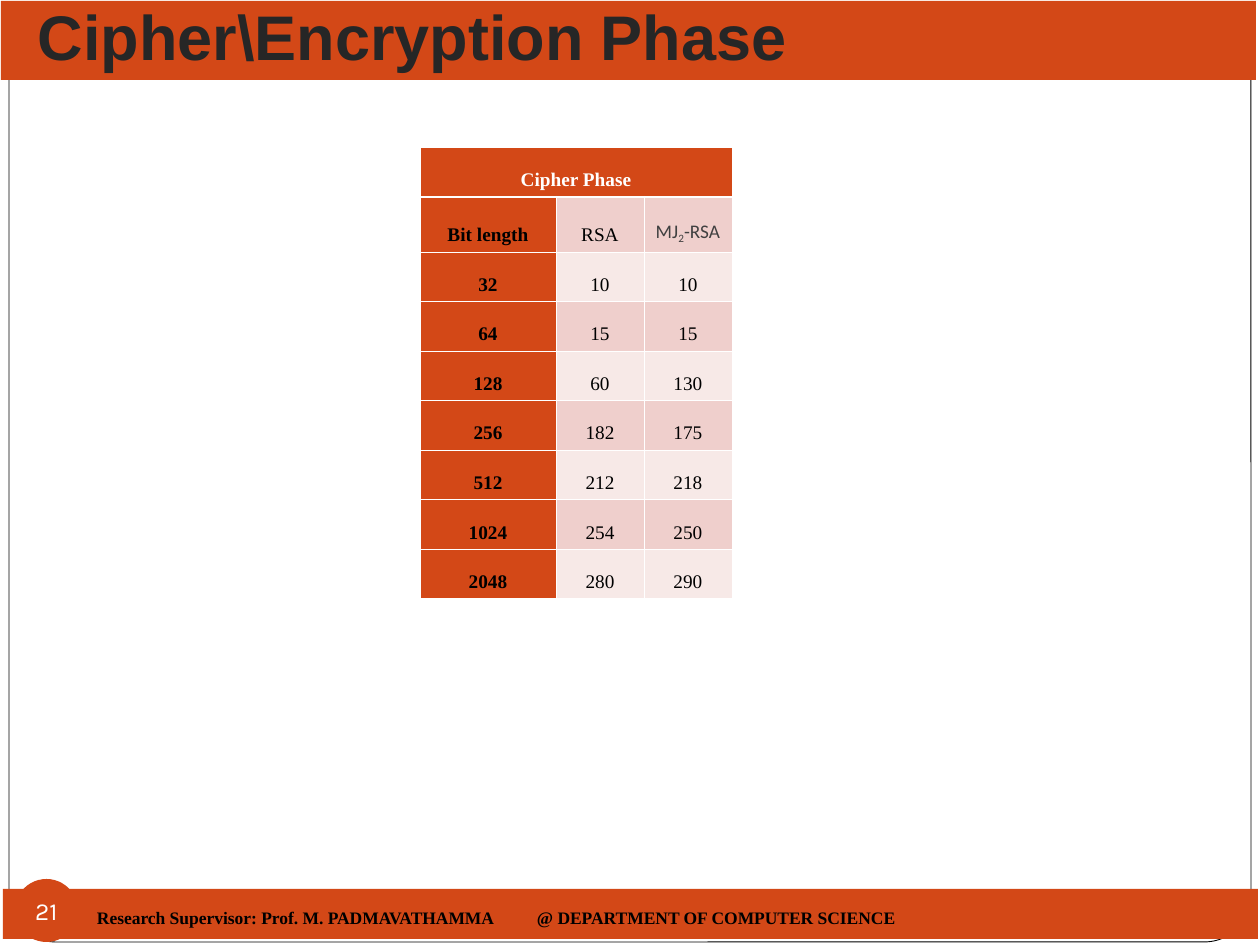
import dataclasses
import typing

import lxml.etree
import pptx
import pptx.dml.color
import pptx.enum.shapes
import pptx.enum.text
import pptx.oxml.ns
import pptx.util

EMU_PER_PX = 914400 / 126
SHAPES = pptx.enum.shapes.MSO_SHAPE
ALIGN = pptx.enum.text.PP_ALIGN
ANCHOR = pptx.enum.text.MSO_ANCHOR


@dataclasses.dataclass(frozen=True)
class Theme:
    accent: str = "D34817"
    white: str = "FFFFFF"
    black: str = "000000"
    heading: str = "262626"
    muted: str = "404040"
    bands: tuple[str, str] = ("EFCFCC", "F7E9E7")
    serif: str = "Times New Roman"
    title_pt: int = 36
    number_pt: int = 14
    table_pt: int = 11
    footer_pt: int = 10


THEME = Theme()


class Box(typing.NamedTuple):
    left: int
    top: int
    width: int
    height: int


@dataclasses.dataclass(frozen=True)
class Panel:
    preset: SHAPES
    box: Box
    fill: str
    line: str | None = None


@dataclasses.dataclass(frozen=True)
class Run:
    text: str
    size: int = THEME.table_pt
    font: str = THEME.serif
    color: str = THEME.black
    bold: bool = False
    baseline: int = 0


def px(length: int) -> int:
    return pptx.util.Emu(round(length * EMU_PER_PX))


def rgb(color: str) -> pptx.dml.color.RGBColor:
    return pptx.dml.color.RGBColor.from_string(color)


def place(box: Box) -> tuple[int, ...]:
    return tuple(px(length) for length in box)


def add_runs(paragraph, runs: typing.Sequence[Run]) -> None:
    for item in runs:
        run = paragraph.add_run()
        run.text = item.text
        run.font.size = pptx.util.Pt(item.size)
        run.font.name = item.font
        run.font.bold = item.bold
        run.font.color.rgb = rgb(item.color)
        if item.baseline:
            run._r.get_or_add_rPr().set("baseline", str(item.baseline * 1000))


def set_margins(target, left: int, top: int, right: int, bottom: int) -> None:
    target.margin_left, target.margin_top = px(left), px(top)
    target.margin_right, target.margin_bottom = px(right), px(bottom)


def add_panel(slide, panel: Panel):
    shape = slide.shapes.add_shape(panel.preset, *place(panel.box))
    shape.shadow.inherit = False
    shape.fill.solid()
    shape.fill.fore_color.rgb = rgb(panel.fill)
    if panel.line:
        shape.line.color.rgb = rgb(panel.line)
        shape.line.width = pptx.util.Pt(0.5)
    else:
        shape.line.fill.background()
    return shape


def set_borders(cell, top: float, bottom: float) -> None:
    properties = cell._tc.get_or_add_tcPr()
    widths = {"a:lnL": 0.45, "a:lnR": 0.45, "a:lnT": top, "a:lnB": bottom}
    for position, (tag, width) in enumerate(widths.items()):
        edge = lxml.etree.Element(pptx.oxml.ns.qn(tag), w=str(pptx.util.Pt(width)))
        fill = lxml.etree.SubElement(edge, pptx.oxml.ns.qn("a:solidFill"))
        lxml.etree.SubElement(fill, pptx.oxml.ns.qn("a:srgbClr"), val=THEME.white)
        properties.insert(position, edge)


def fill_cell(cell, runs: typing.Sequence[Run], fill: str, row: int) -> None:
    cell.fill.solid()
    cell.fill.fore_color.rgb = rgb(fill)
    # A heavier rule divides the heading from the rest
    set_borders(cell, 1.47 if row == 1 else 0.45, 1.47 if row == 0 else 0.45)
    cell.vertical_anchor = ANCHOR.BOTTOM
    set_margins(cell, 10, 6, 10, 6)
    paragraph = cell.text_frame.paragraphs[0]
    paragraph.alignment = ALIGN.CENTER
    paragraph.line_spacing = 1.5
    if row:
        paragraph.space_after = pptx.util.Pt(10)
    add_runs(paragraph, runs)


# Content
BACKDROP = [
    Panel(SHAPES.ROUNDED_RECTANGLE, Box(9, 10, 1242, 932), THEME.white, THEME.black),
    Panel(SHAPES.RECTANGLE, Box(1, 1, 1255, 79), THEME.accent),
    Panel(SHAPES.RECTANGLE, Box(3, 889, 1255, 50), THEME.accent),
]
NUMBER_BADGE = Panel(SHAPES.OVAL, Box(15, 879, 63, 63), THEME.accent)
TIMINGS = [
    (32, 10, 10), (64, 15, 15), (128, 60, 130), (256, 182, 175),
    (512, 212, 218), (1024, 254, 250), (2048, 280, 290),
]
MJ2_LABEL = [
    Run(text, font="Calibri", color=THEME.muted, baseline=baseline)
    for text, baseline in (("MJ", 0), ("2", -25), ("-RSA", 0))
]
COLUMN_LABELS = [[Run("Bit length", bold=True)], [Run("RSA")], MJ2_LABEL]


def add_timings(slide) -> None:
    rows = [COLUMN_LABELS] + [
        [[Run(str(value), bold=column == 0)] for column, value in enumerate(timing)]
        for timing in TIMINGS
    ]
    table = slide.shapes.add_table(len(rows) + 1, 3, *place(Box(420, 147, 312, 452))).table
    table.first_row = table.horz_banding = False
    for column, width in zip(table.columns, (136, 88, 88)):
        column.width = px(width)
    heights = [px(50), px(55)] + [px(347) // len(TIMINGS)] * len(TIMINGS)
    for row, height in zip(table.rows, heights):
        row.height = height

    table.cell(0, 0).merge(table.cell(0, 2))
    heading = [Run("Cipher Phase", color=THEME.white, bold=True)]
    for column in range(3):
        fill_cell(table.cell(0, column), [] if column else heading, THEME.accent, 0)
    for row, cells in enumerate(rows, start=1):
        for column, runs in enumerate(cells):
            fill = THEME.bands[(row - 1) % 2] if column else THEME.accent
            fill_cell(table.cell(row, column), runs, fill, row)


def add_title(slide) -> None:
    title = slide.shapes.title
    slide.shapes._spTree.append(title._element)  # bring in front of the bar
    title.left, title.top, title.width, title.height = place(Box(25, 8, 1071, 78))
    frame = title.text_frame
    frame.auto_size = pptx.enum.text.MSO_AUTO_SIZE.NONE
    frame.vertical_anchor = ANCHOR.BOTTOM
    set_margins(frame, 13, 6, 13, 13)
    frame.paragraphs[0].alignment = ALIGN.LEFT
    add_runs(frame.paragraphs[0], [
        Run("Cipher\\Encryption Phase", THEME.title_pt, "Arial", THEME.heading, True)])


def add_footer(slide) -> None:
    # Slide number
    badge = add_panel(slide, NUMBER_BADGE).text_frame
    badge.word_wrap = False
    badge.vertical_anchor = ANCHOR.MIDDLE
    set_margins(badge, 0, 0, 0, 0)
    badge.paragraphs[0].alignment = ALIGN.CENTER
    add_runs(badge.paragraphs[0], [Run("21", THEME.number_pt, "Karla", THEME.white)])

    # Supervisor and department, parted by a tab stop
    credit = slide.shapes.add_textbox(*place(Box(84, 886, 1042, 63))).text_frame
    credit.word_wrap = True
    credit.vertical_anchor = ANCHOR.MIDDLE
    set_margins(credit, 13, 6, 13, 6)
    paragraph = credit.paragraphs[0]
    stops = lxml.etree.SubElement(
        paragraph._p.get_or_add_pPr(), pptx.oxml.ns.qn("a:tabLst"))
    lxml.etree.SubElement(stops, pptx.oxml.ns.qn("a:tab"), pos=str(px(440)), algn="l")
    add_runs(paragraph, [
        Run(text, THEME.footer_pt, bold=True)
        for text in ("Research Supervisor: Prof. M. PADMAVATHAMMA",
                     "\t@ DEPARTMENT OF COMPUTER SCIENCE")])


def main() -> None:
    deck = pptx.Presentation()
    deck.slide_width, deck.slide_height = px(1260), px(945)
    slide = deck.slides.add_slide(deck.slide_layouts[5])
    for panel in BACKDROP:
        shape = add_panel(slide, panel)
        if panel.preset == SHAPES.ROUNDED_RECTANGLE:
            shape.adjustments[0] = 0.05
    add_title(slide)
    add_timings(slide)
    add_footer(slide)
    deck.save("out.pptx")


if __name__ == "__main__":
    main()
